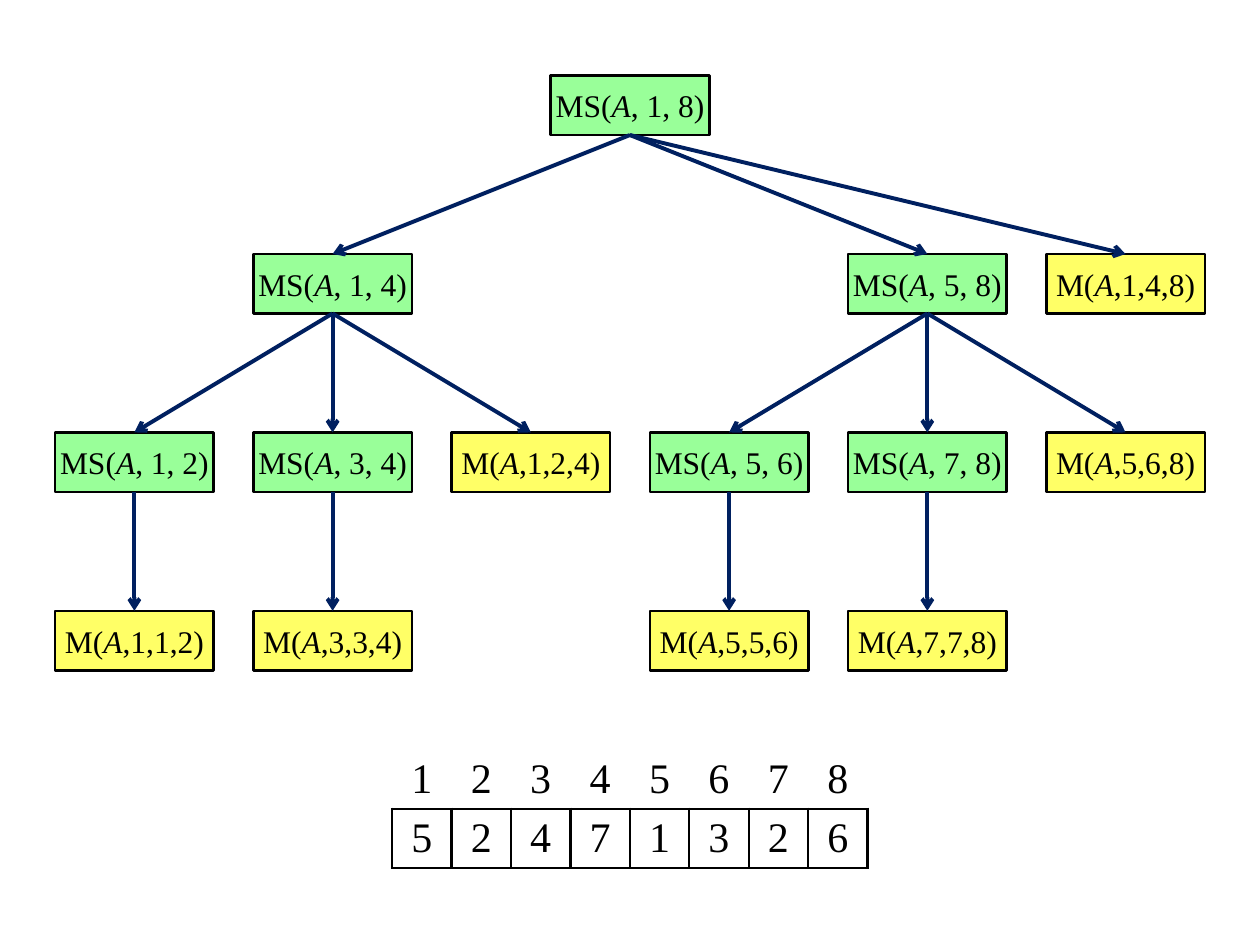
"""Draw the call tree of a merge sort above the array it sorts."""
import pptx
import pptx.util
import pptx.dml.color
import pptx.enum.shapes
import pptx.enum.text
import pptx.oxml.ns
import lxml.etree

CALLS = [
    ("MS", ", 1, 8", 2.5, 0, None),
    ("MS", ", 1, 4", 1, 1, 0),
    ("MS", ", 5, 8", 4, 1, 0),
    ("M", ",1,4,8", 5, 1, 0),
    ("MS", ", 1, 2", 0, 2, 1),
    ("MS", ", 3, 4", 1, 2, 1),
    ("M", ",1,2,4", 2, 2, 1),
    ("MS", ", 5, 6", 3, 2, 2),
    ("MS", ", 7, 8", 4, 2, 2),
    ("M", ",5,6,8", 5, 2, 2),
    ("M", ",1,1,2", 0, 3, 4),
    ("M", ",3,3,4", 1, 3, 5),
    ("M", ",5,5,6", 3, 3, 7),
    ("M", ",7,7,8", 4, 3, 8),
]
ARRAY = [5, 2, 4, 7, 1, 3, 2, 6]

THEME = {
    "font": "Times New Roman", "call": 18, "cell": 24,
    "ink": "000000", "arrow": "002060", "MS": "99FF99", "M": "FFFF66",
    "edge": 1.5, "link": 2.25,
}
PLAIN = "{2D5ABB26-0587-4C30-8999-92F81FD0307C}"
WIDE, HIGH = 10, 7.5
UNIT = WIDE * 0.0472
BOX_W, BOX_H = UNIT * 8 / 3, UNIT
STEP_X, STEP_Y = UNIT * 10 / 3, UNIT * 3
TOP = HIGH * 0.08
GRID_TOP = TOP + UNIT * 11.33

inch, point = pptx.util.Inches, pptx.util.Pt
rgb = pptx.dml.color.RGBColor.from_string
center = pptx.enum.text.PP_ALIGN.CENTER
middle = pptx.enum.text.MSO_ANCHOR.MIDDLE


def assign(item, values):
    for name, value in values.items():
        setattr(item, name, value)


def add_tag(parent, tag, **values):
    return lxml.etree.SubElement(parent, pptx.oxml.ns.qn(tag), values)


def write(para, parts, size):
    para.alignment = center
    for text, slant in parts:
        run = para.add_run()
        run.text = text
        assign(run.font, {"name": THEME["font"], "size": point(size), "italic": slant})
        run.font.color.rgb = rgb(THEME["ink"])


def stroke(line, color, width):
    line.color.rgb = rgb(THEME[color])
    line.width = point(THEME[width])


def add_call(slide, kind, args, col, row):
    left = WIDE / 2 + (col - 2.5) * STEP_X - BOX_W / 2
    box = slide.shapes.add_shape(
        pptx.enum.shapes.MSO_SHAPE.RECTANGLE,
        inch(left), inch(TOP + row * STEP_Y), inch(BOX_W), inch(BOX_H))
    box.shadow.inherit = False
    box.fill.solid()
    box.fill.fore_color.rgb = rgb(THEME[kind])
    stroke(box.line, "ink", "edge")
    frame = box.text_frame
    assign(frame, {"word_wrap": False, "vertical_anchor": middle,
                   "margin_top": 0, "margin_bottom": 0})
    para = frame.paragraphs[0]
    write(para, [(kind + "(", False), ("A", True), (args + ")", False)], THEME["call"])
    space = add_tag(para._p.get_or_add_pPr(), "a:spcBef")
    add_tag(space, "a:spcPct", val="10000")
    return box


def add_link(slide, start, end):
    link = slide.shapes.add_connector(pptx.enum.shapes.MSO_CONNECTOR.STRAIGHT, 0, 0, 0, 0)
    link.begin_connect(start, 2)
    link.end_connect(end, 0)
    stroke(link.line, "arrow", "link")
    add_tag(link.line._get_or_add_ln(), "a:tailEnd", type="arrow")
    add_tag(link._element.spPr, "a:effectLst")


def add_edge(cell, side):
    edge = add_tag(cell._tc.get_or_add_tcPr(), "a:ln" + side,
                   w=str(point(THEME["edge"])))
    add_tag(add_tag(edge, "a:solidFill"), "a:srgbClr", val=THEME["ink"])


def add_array(slide):
    count = len(ARRAY)
    frame = slide.shapes.add_table(
        2, count, inch(WIDE / 2 - count * UNIT / 2), inch(GRID_TOP),
        inch(count * UNIT), inch(2 * UNIT))
    table = frame.table
    assign(table, {"first_row": False, "horz_banding": False})
    table._tbl.tblPr.find(pptx.oxml.ns.qn("a:tableStyleId")).text = PLAIN
    for line in table.rows:
        line.height = inch(UNIT)
    for row, values in enumerate([range(1, count + 1), ARRAY]):
        for col, value in enumerate(values):
            cell = table.cell(row, col)
            assign(cell, {"vertical_anchor": middle, "margin_top": inch(0.02),
                          "margin_bottom": inch(0.02)})
            write(cell.text_frame.paragraphs[0], [(str(value), False)], THEME["cell"])
            for side in "LRTB" if row else "B":
                add_edge(cell, side)
            cell.fill.background()


def main():
    deck = pptx.Presentation()
    assign(deck, {"slide_width": inch(WIDE), "slide_height": inch(HIGH)})
    slide = deck.slides.add_slide(deck.slide_layouts[6])
    boxes = [add_call(slide, *call[:4]) for call in CALLS]
    for box, call in zip(boxes, CALLS):
        if call[4] is not None:
            add_link(slide, boxes[call[4]], box)
    add_array(slide)
    deck.save("out.pptx")


main()
